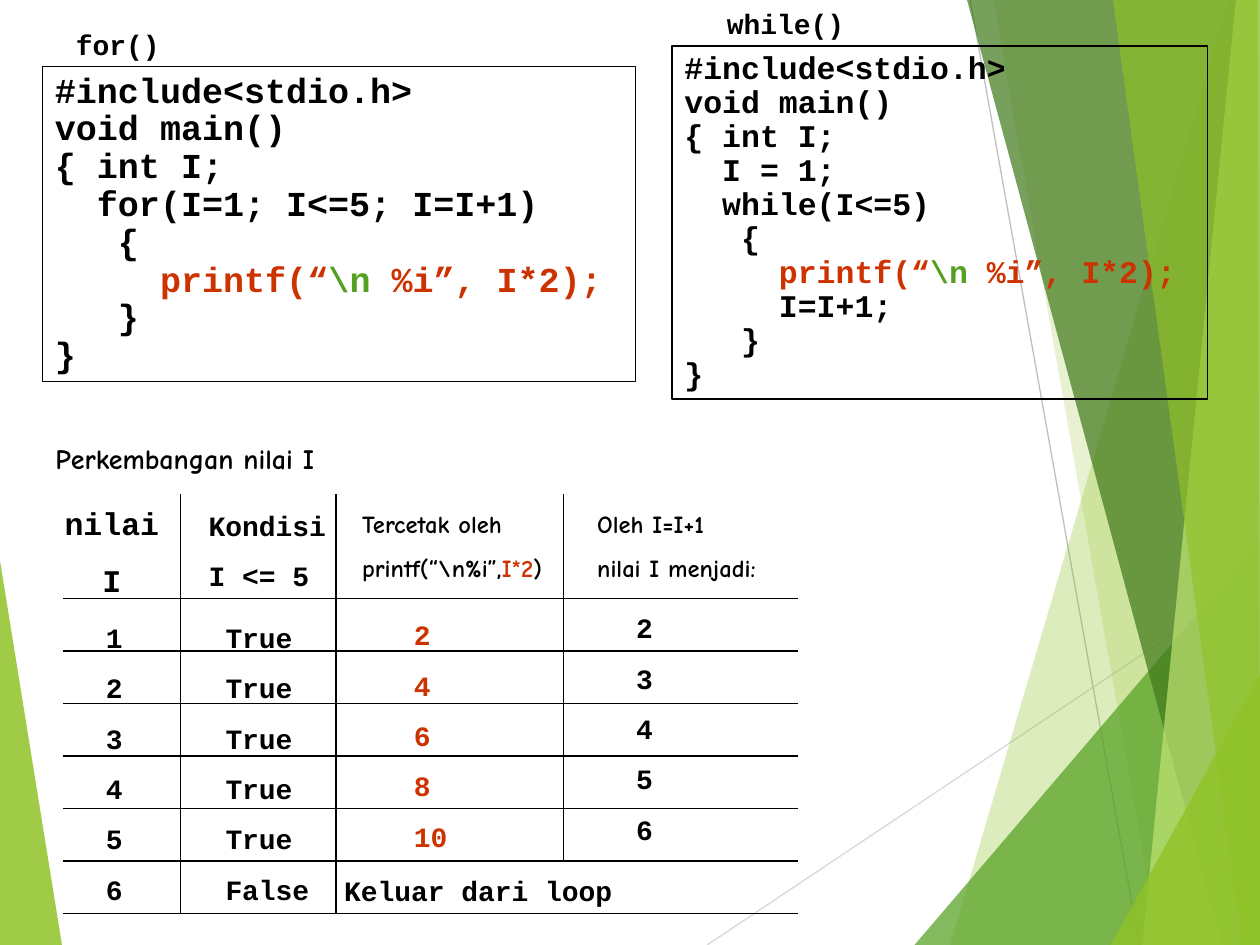
from pptx import Presentation
from pptx.dml.color import RGBColor
from pptx.enum.shapes import MSO_CONNECTOR as CONN, MSO_SHAPE as SHAPE
from pptx.enum.text import MSO_ANCHOR as ANCHOR, MSO_AUTO_SIZE as FIT, PP_ALIGN as ALIGN
from pptx.oxml.ns import qn
from pptx.util import Inches, Pt
from lxml import etree

# Grid of 120 columns by 90 rows; U is one square cell
prs = Presentation()
prs.slide_width, prs.slide_height = Inches(10), Inches(7.5)
U = prs.slide_width / 120
s = prs.slides.add_slide(prs.slide_layouts[6])

rgb = RGBColor.from_string
BLACK, RED, GREEN, LIME = "000000", "CC3300", "54A021", "90C226"
MONO, COMIC = "Courier New", "Comic Neue"


def add_line(x1, y1, x2, y2, color=BLACK):
    ln = s.shapes.add_connector(CONN.STRAIGHT, *(round(v * U) for v in (x1, y1, x2, y2)))
    ln.line.color.rgb = rgb(color)
    ln.line.width = Pt(0.75)
    etree.SubElement(ln._element.spPr, qn("a:effectLst"))


def add_text(box, lines, size, font=MONO, spacing=1.5, color=BLACK, align=ALIGN.LEFT,
             framed=False, wrap=False):
    """Each line is a string or a list of (text, colour) runs."""
    x, y, w, h = (round(v * U) for v in box)
    if framed:
        sp = s.shapes.add_shape(SHAPE.RECTANGLE, x, y, w, h)
        sp.shadow.inherit = False
        sp.fill.background()
        sp.line.color.rgb = rgb(BLACK)
        sp.line.width = Pt(0.75)
    else:
        sp = s.shapes.add_textbox(x, y, w, h)
    tf = sp.text_frame
    tf.word_wrap = wrap
    tf.auto_size = FIT.SHAPE_TO_FIT_TEXT
    tf.vertical_anchor = ANCHOR.TOP
    for i, line in enumerate(lines):
        p = tf.add_paragraph() if i else tf.paragraphs[0]
        p.alignment = align
        p.line_spacing = spacing
        for text, run_color in [(line, color)] if isinstance(line, str) else line:
            r = p.add_run()
            r.text = text
            r.font.name, r.font.size, r.font.bold = font, Pt(size), True
            r.font.color.rgb = rgb(run_color)


# Background facets: colour, opacity in percent, corners
facets = [
    (LIME, 85, [(0, 53.4), (5.9, 90), (0, 90)]),
    (LIME, 30, [(117, 0), (90.5, 90), (120, 90), (120, 0)]),
    (LIME, 20, [(94.6, 0), (110.4, 90), (120, 90), (120, 0)]),
    (GREEN, 72, [(87.1, 90), (120, 51.5), (120, 90)]),
    ("3F7819", 70, [(92.1, 0), (116.4, 90), (120, 90), (120, 0)]),
    ("C0E474", 70, [(117.7, 0), (108.8, 90), (120, 90), (120, 0)]),
    (LIME, 65, [(106, 0), (118.3, 90), (120, 90), (119.8, 0)]),
    (LIME, 80, [(105.8, 90), (120, 64.2), (120, 90)]),
]
for i, (color, opacity, corners) in enumerate(facets):
    if i == 1:  # thin rays lie between the left facet and the right ones
        add_line(67.35, 90, 120, 54.85, "D9D9D9")
        add_line(92.4, 0, 108.5, 90, "BFBFBF")
    pts = [(round(x * U), round(y * U)) for x, y in corners]
    fb = s.shapes.build_freeform(*pts[0])
    fb.add_line_segments(pts[1:], close=True)
    sp = fb.convert_to_shape()
    sp.shadow.inherit = False
    sp.fill.solid()
    sp.fill.fore_color.rgb = rgb(color)
    clr = sp._element.spPr.find(".//" + qn("a:srgbClr"))
    etree.SubElement(clr, qn("a:alpha"), val=str(opacity * 1000))
    sp.line.fill.background()

# Trace of I: title and column heads
add_text((4.1, 41.45, 27.1, 4.4), ["Perkembangan nilai I"], 16, COMIC, 1.0)
add_text((4.95, 45.65, 11.4, 12), ["nilai", "I"], 18, align=ALIGN.CENTER)
add_text((18.7, 46.25, 13.6, 10.8), ["Kondisi", "I <= 5"], 16)
add_text((33.3, 46.5, 19.6, 9.6),
         ["Tercetak oleh", [("printf(“\\n%i”,", BLACK), ("I*2", RED), (")", BLACK)]],
         14, COMIC)
add_text((55.7, 46.5, 17.5, 9.6), ["Oleh I=I+1", "nilai I menjadi:"], 14, COMIC)

# Trace of I: values, one box per column
add_text((8.9, 56.9, 4, 30), [str(i) for i in range(1, 7)], 16)
add_text((20.3, 56.9, 10.6, 30), ["True"] * 5 + ["False"], 16)
add_text((38.25, 56.65, 5.8, 25.2), [str(2 * i) for i in range(1, 6)], 16, color=RED)
add_text((31.6, 81, 28, 6), ["Keluar dari loop"], 16)
add_text((59.4, 56, 4, 25.2), [str(i + 1) for i in range(1, 6)], 16)

# Trace of I: rules
for row in range(57, 88, 5):
    add_line(6, row, 76, row)
for col, bottom in [(17.2, 87), (32, 87), (53.65, 82)]:
    add_line(col, 47.05, col, bottom)

# Code listings
add_text((4.05, 6.36, 56.5, 30), [
    "#include<stdio.h>",
    "void main()",
    "{ int I;",
    "  for(I=1; I<=5; I=I+1)",
    "   {",
    [("     ", BLACK), ("printf(“", RED), ("\\n", GREEN), (" %i”, I*2);", RED)],
    "   }",
    "}",
], 20, spacing=0.9, framed=True)
add_text((64, 4.4, 51, 33.6), [
    "#include<stdio.h>",
    "void main()",
    "{ int I;",
    "  I = 1;",
    "  while(I<=5)",
    "   {",
    [("     ", BLACK), ("printf(“", RED), ("\\n ", GREEN), ("%i”, I*2);", RED)],
    "     I=I+1;",
    "   }",
    "}",
], 18, spacing=0.9, framed=True, wrap=True)

# Listing titles
add_text((6.05, 1.75, 10.6, 4.8), ["for()"], 16, spacing=1.1)
add_text((68.05, 0, 13.6, 4.4), ["while()"], 16, spacing=1.0)

prs.save("out.pptx")
